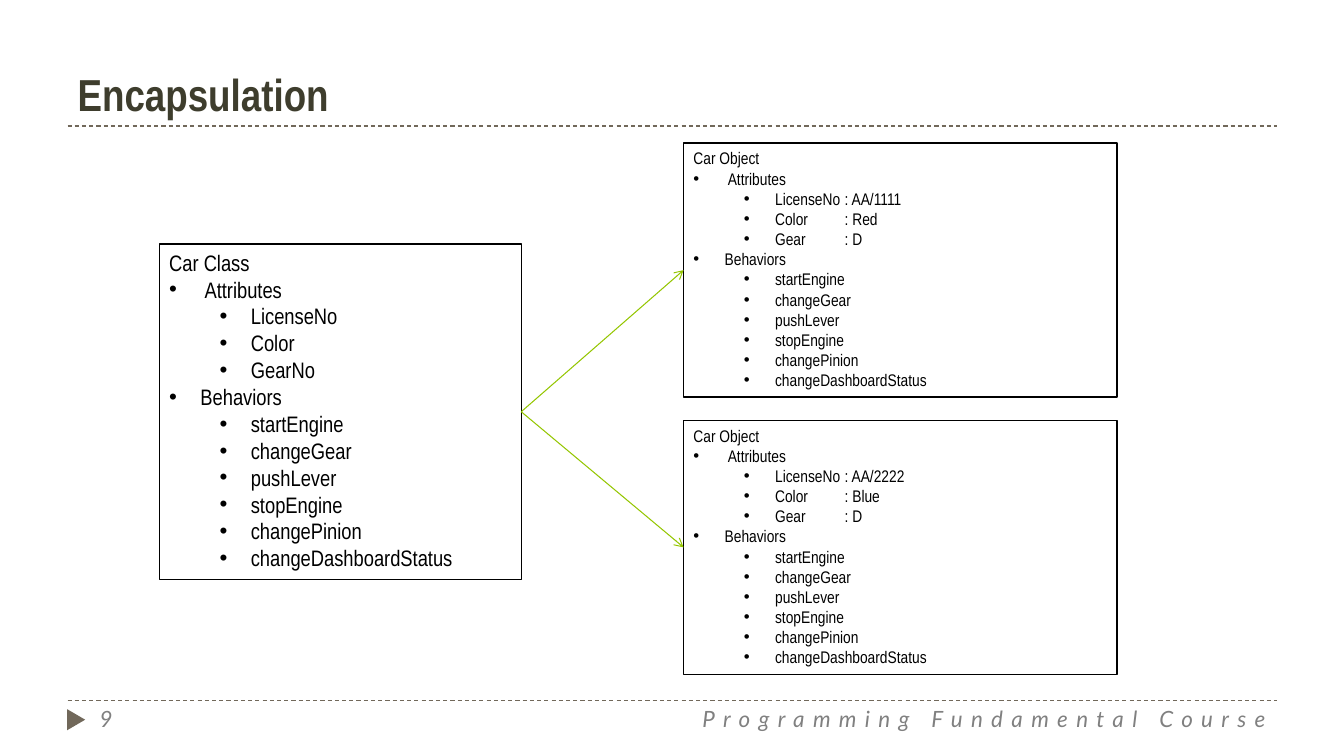
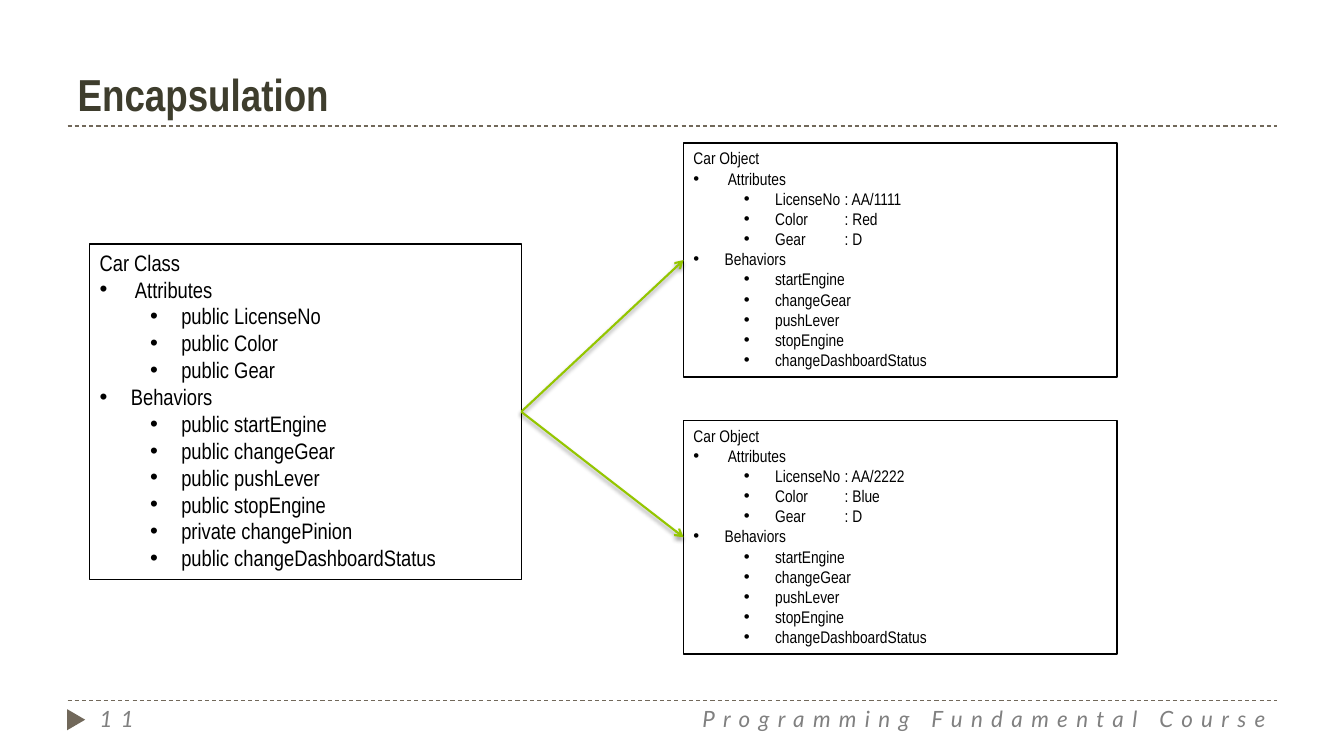
from dataclasses import dataclass

from lxml import etree
from pptx import Presentation
from pptx import util as u
from pptx.dml.color import RGBColor
from pptx.enum import dml, shapes, text
from pptx.oxml import ns

Inches, Pt = u.Inches, u.Pt


@dataclass(frozen=True)
class Theme:
    title_color: RGBColor = RGBColor(0x3E, 0x3D, 0x2D)
    rule_color: RGBColor = RGBColor(0x71, 0x68, 0x5A)
    footer_color: RGBColor = RGBColor(0x80, 0x80, 0x80)
    ink: RGBColor = RGBColor(0, 0, 0)
    arrow_color: RGBColor = RGBColor(0x94, 0xC6, 0x00)
    body_font: str = "Arial Narrow"
    footer_font: str = "Lato"
    title_size: int = 32
    class_size: int = 16
    object_size: int = 12
    footer_size: int = 16
    footer_spacing: int = 6


THEME = Theme()


@dataclass(frozen=True)
class Card:
    """A bordered box listing the members of a class or an object."""
    heading: str
    attributes: list[str]
    behaviors: list[str]
    left: float
    top: float
    width: float
    height: float
    size: int


@dataclass(frozen=True)
class EncapsulationPage:
    number: int
    class_left: float
    class_attributes: list[str]
    class_behaviors: list[str]
    object_behaviors: list[str]
    object_height: float
    arrow_width: float
    arrow_shadow: bool


CLASS_RIGHT, CLASS_TOP, CLASS_HEIGHT = 5.17, 2.42, 3.33
OBJECT_LEFT, OBJECT_WIDTH = 6.78, 4.3
OBJECT_TOPS = (1.42, 4.17)
OBJECT_VALUES = (("AA/1111", "Red"), ("AA/2222", "Blue"))
BEHAVIORS = ["startEngine", "changeGear", "pushLever", "stopEngine",
             "changePinion", "changeDashboardStatus"]
PRIVATE = "changePinion"

PAGES = [
    EncapsulationPage(
        9, 1.58, ["LicenseNo", "Color", "GearNo"], BEHAVIORS, BEHAVIORS,
        2.52, 0.75, False),
    EncapsulationPage(
        11, 0.89, ["public LicenseNo", "public Color", "public Gear"],
        [f"{'private' if name == PRIVATE else 'public'} {name}"
         for name in BEHAVIORS],
        [name for name in BEHAVIORS if name != PRIVATE],
        2.32, 1.5, True),
]


def add_span(para, words: str, font: str, size: int, color: RGBColor):
    span = para.add_run()
    span.text = words
    span.font.name = font
    span.font.size = Pt(size)
    span.font.color.rgb = color
    return span


def add_line(page, start: tuple[float, float], end: tuple[float, float],
             color: RGBColor, width: float):
    line = page.shapes.add_connector(
        shapes.MSO_CONNECTOR.STRAIGHT,
        *(Inches(value) for value in (*start, *end)))
    line.line.color.rgb = color
    line.line.width = Pt(width)
    etree.SubElement(line._element.spPr, ns.qn("a:effectLst"))
    return line


# Shared title, rules and footer
def add_title(page, words: str) -> None:
    title = page.shapes.title
    title.left, title.top = Inches(0.67), Inches(0)
    title.width, title.height = Inches(9.92), Inches(1.25)
    frame = title.text_frame
    frame.auto_size = text.MSO_AUTO_SIZE.NONE
    frame.vertical_anchor = text.MSO_ANCHOR.BOTTOM
    para = frame.paragraphs[0]
    para.alignment = text.PP_ALIGN.LEFT
    span = add_span(para, words, THEME.body_font, THEME.title_size,
                    THEME.title_color)
    span.font.bold = True


def add_footer_text(page, words: str, left: float, width: float,
                    alignment: text.PP_ALIGN) -> None:
    box = page.shapes.add_textbox(
        Inches(left), Inches(6.95), Inches(width), Inches(0.4))
    box.text_frame.word_wrap = True
    para = box.text_frame.paragraphs[0]
    para.alignment = alignment
    span = add_span(para, words, THEME.footer_font, THEME.footer_size,
                    THEME.footer_color)
    span.font.italic = True
    span._r.get_or_add_rPr().set("spc", str(THEME.footer_spacing * 100))


def add_frame(page, number: int) -> None:
    for height in (1.25, 6.95):
        rule = add_line(page, (0.67, height), (12.67, height),
                        THEME.rule_color, 0.75)
        rule.line.dash_style = dml.MSO_LINE.DASH
    marker = page.shapes.add_shape(
        shapes.MSO_SHAPE.ISOSCELES_TRIANGLE,
        Inches(0.65), Inches(7.05), Inches(0.21), Inches(0.18))
    marker.rotation = 90
    marker.shadow.inherit = False
    marker.fill.solid()
    marker.fill.fore_color.rgb = THEME.rule_color
    marker.line.fill.background()
    add_footer_text(page, "Programming Fundamental Course", 4.58, 8.08,
                    text.PP_ALIGN.RIGHT)
    add_footer_text(page, str(number), 0.89, 2.89, text.PP_ALIGN.LEFT)


# Member cards
def set_bullet(para, level: int) -> None:
    para.level = level
    props = para._p.get_or_add_pPr()
    props.set("marL", str(Inches(0.31 + 0.5 * level)))
    props.set("indent", str(Inches(-0.31)))
    font = etree.SubElement(props, ns.qn("a:buFont"))
    font.set("typeface", "Arial")
    etree.SubElement(props, ns.qn("a:buChar")).set("char", "•")


def add_card(page, card: Card):
    box = page.shapes.add_shape(
        shapes.MSO_SHAPE.RECTANGLE, Inches(card.left), Inches(card.top),
        Inches(card.width), Inches(card.height))
    box.shadow.inherit = False
    box.fill.background()
    box.line.color.rgb = THEME.ink
    box.line.width = Pt(1)
    frame = box.text_frame
    frame.word_wrap = True
    frame.auto_size = text.MSO_AUTO_SIZE.SHAPE_TO_FIT_TEXT
    frame.vertical_anchor = text.MSO_ANCHOR.TOP

    rows = [(None, card.heading), (0, " Attributes")]
    rows += [(1, name) for name in card.attributes]
    rows += [(0, "Behaviors")]
    rows += [(1, name) for name in card.behaviors]
    for index, (level, words) in enumerate(rows):
        para = frame.add_paragraph() if index else frame.paragraphs[0]
        para.alignment = text.PP_ALIGN.LEFT
        if level is not None:
            set_bullet(para, level)
        add_span(para, words, THEME.body_font, card.size, THEME.ink)
    return box


# Arrows from the class to its objects
def add_shadow(line) -> None:
    effects = line._element.spPr.find(ns.qn("a:effectLst"))
    shadow = etree.SubElement(effects, ns.qn("a:outerShdw"))
    for name, value in (("blurRad", Pt(3)), ("dist", Pt(2)),
                        ("dir", 90 * 60000), ("rotWithShape", 0)):
        shadow.set(name, str(value))
    color = etree.SubElement(shadow, ns.qn("a:srgbClr"))
    color.set("val", str(THEME.ink))
    etree.SubElement(color, ns.qn("a:alpha")).set("val", "40000")


def add_arrow(page, source, target, width: float, shadow: bool) -> None:
    arrow = add_line(page, (0, 0), (1, 1), THEME.arrow_color, width)
    arrow.begin_connect(source, 3)
    arrow.end_connect(target, 1)
    outline = arrow.line._get_or_add_ln()
    etree.SubElement(outline, ns.qn("a:tailEnd")).set("type", "arrow")
    if shadow:
        add_shadow(arrow)


def add_page(deck, content: EncapsulationPage) -> None:
    page = deck.slides.add_slide(deck.slide_layouts.get_by_name("Title Only"))
    add_frame(page, content.number)
    add_title(page, "Encapsulation")
    class_box = add_card(page, Card(
        "Car Class", content.class_attributes, content.class_behaviors,
        content.class_left, CLASS_TOP, CLASS_RIGHT - content.class_left,
        CLASS_HEIGHT, THEME.class_size))
    object_boxes = [
        add_card(page, Card(
            "Car Object",
            [f"LicenseNo\t: {license_no}", f"Color\t: {color}", "Gear\t: D"],
            content.object_behaviors, OBJECT_LEFT, top, OBJECT_WIDTH,
            content.object_height, THEME.object_size))
        for top, (license_no, color) in zip(OBJECT_TOPS, OBJECT_VALUES)]
    for object_box in object_boxes:
        add_arrow(page, class_box, object_box, content.arrow_width,
                  content.arrow_shadow)


def main() -> None:
    deck = Presentation()
    deck.slide_width, deck.slide_height = Inches(13.33), Inches(7.5)
    for content in PAGES:
        add_page(deck, content)
    deck.save("out.pptx")


if __name__ == "__main__":
    main()
